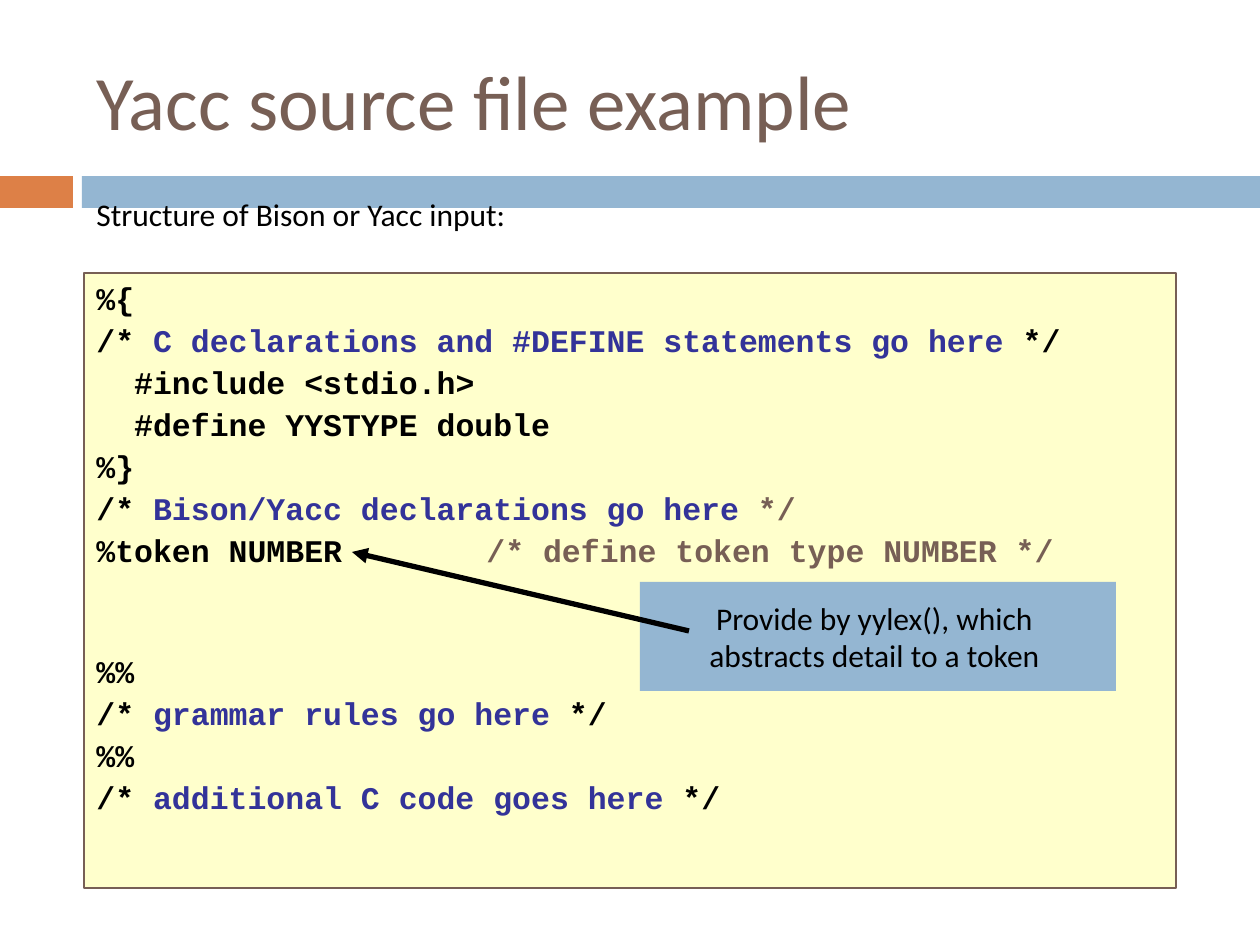
from lxml.etree import SubElement
from pptx import Presentation
from pptx.dml.color import RGBColor
from pptx.enum.shapes import MSO_CONNECTOR, MSO_SHAPE
from pptx.enum.text import MSO_ANCHOR as ANCHOR, PP_ALIGN as ALIGN
from pptx.oxml.ns import qn
from pptx.util import Pt

PX = 914400 // 126
COLORS = {"title": "775F55", "accent": "DD8047", "bar": "94B6D2",
          "paper": "FFFFCC", "code": "000000", "hint": "333399"}
SANS, MONO = "Calibri", "Courier New"

TITLE = "Yacc source file example"
INTRO = "Structure of Bison or Yacc input:"
CALLOUT = ["Provide by yylex(), which ", "abstracts detail to a token "]

# Each block is a list of lines, each line a list of (text, colour)
DECLARATIONS = [
    [("%{", "code")],
    [("/*", "code"), (" C declarations and #DEFINE statements go here", "hint"), (" */", "code")],
    [("  #include <stdio.h>", "code")],
    [("  #define YYSTYPE double", "code")],
    [("%}", "code")],
    [("/* ", "code"), ("Bison/Yacc declarations go here ", "hint"), ("*/", "title")],
    [("%token NUMBER\t", "code"), ("/* define token type NUMBER */", "title")],
]
RULES = [
    [("%%", "code")],
    [("/* ", "code"), ("grammar rules go here", "hint"), (" */", "code")],
    [("%%", "code")],
    [("/* ", "code"), ("additional C code goes here", "hint"), (" */", "code")],
]
LINE_GAP, BLOCK_GAP = 2.35, 47.85  # points
COMMENT_TAB = 390  # px from the left edge of the code

# Boxes as left, top, width, height in px
TITLE_BOX = (84, 32, 1124, 136)
ACCENT_BOX = (0, 176, 73, 32)
BAR_BOX = (82, 176, 1178, 32)
INTRO_BOX = (84, 189, 1092, 50)
CODE_BOX = (84, 273, 1092, 615)
CALLOUT_BOX = (640, 582, 476, 109)
ARROW = (689, 631, 352, 552)


def rgb(color):
    return RGBColor.from_string(COLORS[color])


def emu(box):
    return [value * PX for value in box]


def add_rect(slide, box, fill, line=None):
    rect = slide.shapes.add_shape(MSO_SHAPE.RECTANGLE, *emu(box))
    rect.shadow.inherit = False
    rect.fill.solid()
    rect.fill.fore_color.rgb = rgb(fill)
    if line:
        rect.line.color.rgb = rgb(line)
        rect.line.width = Pt(1.5)
    else:
        rect.line.fill.background()
    return rect


def write(shape, lines, size=18, font=SANS, bold=False, gaps=None,
          align=ALIGN.LEFT, anchor=ANCHOR.TOP, wrap=True):
    frame = shape.text_frame
    frame.word_wrap = wrap
    frame.vertical_anchor = anchor
    for i, line in enumerate(lines):
        paragraph = frame.add_paragraph() if i else frame.paragraphs[0]
        paragraph.alignment = align
        if gaps:
            paragraph.space_before = Pt(gaps[i])
        for text, color in line:
            run = paragraph.add_run()
            run.text = text
            run.font.size = Pt(size)
            run.font.name = font
            run.font.bold = bold
            run.font.color.rgb = rgb(color)


def add_tab_stop(paragraph, position):
    stops = SubElement(paragraph._p.get_or_add_pPr(), qn("a:tabLst"))
    SubElement(stops, qn("a:tab"), pos=str(position * PX), algn="l")


def main():
    deck = Presentation()
    deck.slide_width, deck.slide_height = emu((1260, 945))
    slide = deck.slides.add_slide(deck.slide_layouts[6])

    # Header
    add_rect(slide, ACCENT_BOX, "accent")
    add_rect(slide, BAR_BOX, "bar")
    title = slide.shapes.add_textbox(*emu(TITLE_BOX))
    write(title, [[(TITLE, "title")]], size=44, anchor=ANCHOR.MIDDLE)

    # Code listing
    code = add_rect(slide, CODE_BOX, "paper", line="title")
    lines = DECLARATIONS + RULES
    gaps = [LINE_GAP] * len(lines)
    gaps[len(DECLARATIONS)] = BLOCK_GAP
    write(code, lines, font=MONO, bold=True, gaps=gaps)
    token_line = code.text_frame.paragraphs[len(DECLARATIONS) - 1]
    add_tab_stop(token_line, COMMENT_TAB)

    # Introduction
    intro = slide.shapes.add_textbox(*emu(INTRO_BOX))
    write(intro, [[(INTRO, "code")]], gaps=[4.5])

    # Callout and its arrow to the token
    callout = add_rect(slide, CALLOUT_BOX, "bar")
    write(callout, [[(text, "code")] for text in CALLOUT],
          align=ALIGN.CENTER, anchor=ANCHOR.MIDDLE, wrap=False)
    arrow = slide.shapes.add_connector(MSO_CONNECTOR.STRAIGHT, *emu(ARROW))
    arrow.line.color.rgb = rgb("code")
    arrow.line.width = Pt(3)
    SubElement(arrow.line._get_or_add_ln(), qn("a:tailEnd"), type="triangle")
    SubElement(arrow._element.spPr, qn("a:effectLst"))

    deck.save("out.pptx")


if __name__ == "__main__":
    main()
